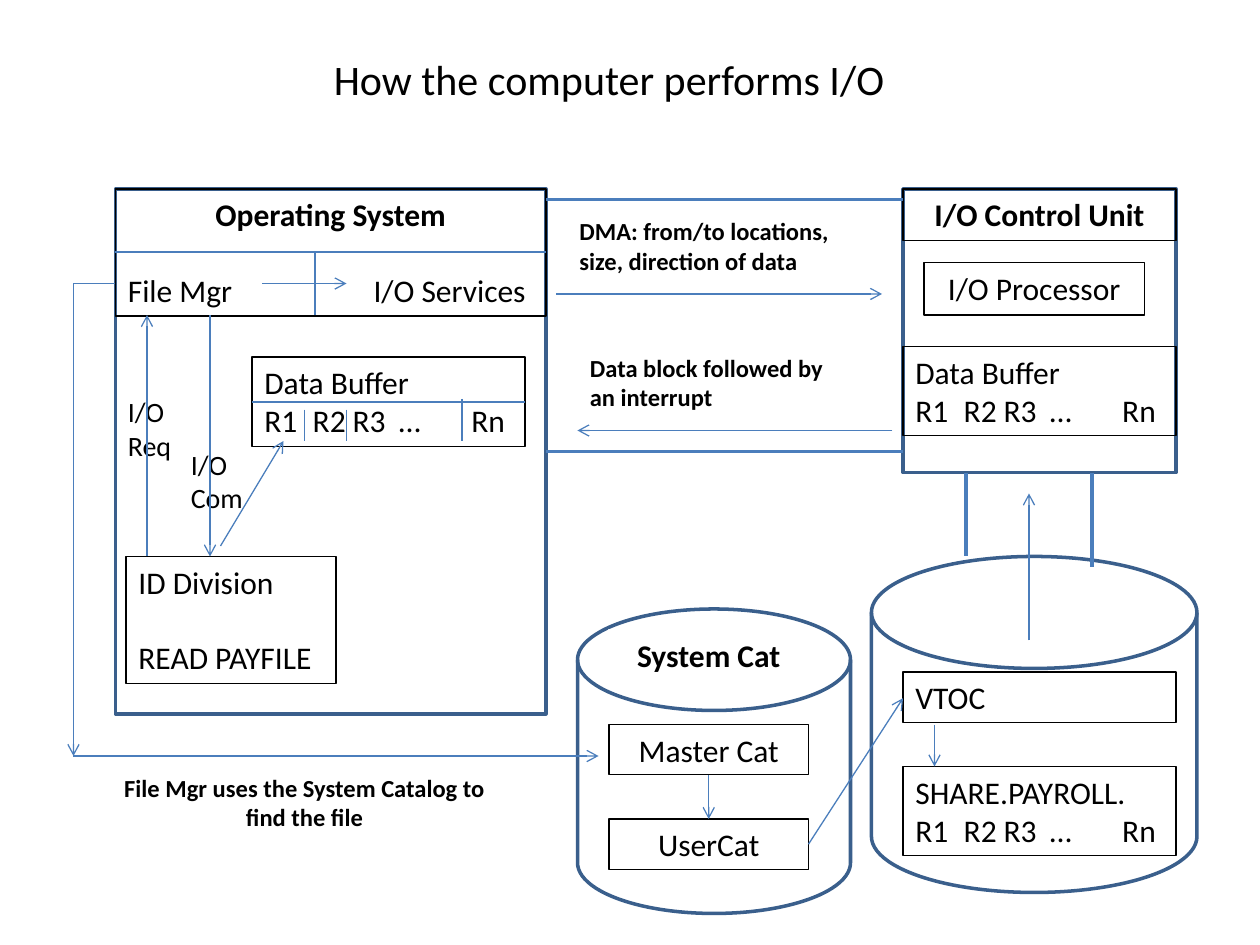
from dataclasses import dataclass

from lxml import etree
from pptx import Presentation
from pptx.dml.color import RGBColor
from pptx.enum.shapes import MSO_CONNECTOR, MSO_SHAPE
from pptx.enum.text import MSO_ANCHOR, PP_ALIGN
from pptx.oxml.ns import qn
from pptx.util import Emu, Pt

RECT = MSO_SHAPE.RECTANGLE
DISK = MSO_SHAPE.FLOWCHART_MAGNETIC_DISK
STRAIGHT = MSO_CONNECTOR.STRAIGHT
LEFT, CENTER = PP_ALIGN.LEFT, PP_ALIGN.CENTER
TOP, MIDDLE = MSO_ANCHOR.TOP, MSO_ANCHOR.MIDDLE
PX = 7620  # EMU per px, 120 px to the inch


@dataclass(frozen=True)
class Theme:
    font: str = "Calibri"
    ink: str = "000000"
    paper: str = "FFFFFF"
    outline: str = "3A5F8C"
    link: str = "4B7EBC"
    title: int = 24
    body: int = 18
    label: int = 16
    note: int = 14
    thin: float = 0.75
    edge: float = 2
    channel: float = 2.25


THEME = Theme()


@dataclass(frozen=True)
class Outline:
    kind: int
    at: tuple[int, int, int, int]


@dataclass(frozen=True)
class Box:
    at: tuple[int, int, int, int]
    lines: tuple[str, ...]
    size: int = THEME.body
    align: int = LEFT
    bold_lines: int = 0
    gap: float = 0  # points before each line after the first
    tabs: tuple[int, ...] = ()
    border: str | None = THEME.ink


@dataclass(frozen=True)
class Link:
    start: tuple[int, int]
    end: tuple[int, int]
    arrow: bool = True
    width: float = THEME.thin


def emu(*lengths: int) -> list[Emu]:
    return [Emu(n * PX) for n in lengths]


def draw_outline(slide, item: Outline) -> None:
    sp = slide.shapes.add_shape(item.kind, *emu(*item.at))
    sp.shadow.inherit = False
    sp.fill.solid()
    sp.fill.fore_color.rgb = RGBColor.from_string(THEME.paper)
    sp.line.color.rgb = RGBColor.from_string(THEME.outline)
    sp.line.width = Pt(THEME.edge)


def format_runs(p, size: int, bold: bool = False) -> None:
    for r in p.runs:
        r.font.name = THEME.font
        r.font.size = Pt(size)
        r.font.bold = bold
        r.font.color.rgb = RGBColor.from_string(THEME.ink)


def draw_box(slide, box: Box) -> None:
    sp = slide.shapes.add_textbox(*emu(*box.at))
    if box.border:
        sp.line.color.rgb = RGBColor.from_string(box.border)
        sp.line.width = Pt(THEME.thin)
    tf = sp.text_frame
    tf.word_wrap = True
    tf.vertical_anchor = TOP
    tf.text = "\n".join(box.lines)
    for i, p in enumerate(tf.paragraphs):
        p.alignment = CENTER if i < box.bold_lines else box.align
        if i and box.gap:
            p.space_before = Pt(box.gap)
        if "\t" in box.lines[i]:
            tab_list = etree.SubElement(p._p.get_or_add_pPr(), qn("a:tabLst"))
            for stop in box.tabs:
                etree.SubElement(tab_list, qn("a:tab"), pos=str(stop * PX), algn="l")
        format_runs(p, box.size, i < box.bold_lines)


def draw_link(slide, link: Link) -> None:
    line = slide.shapes.add_connector(STRAIGHT, *emu(*link.start, *link.end))
    line.line.color.rgb = RGBColor.from_string(THEME.link)
    line.line.width = Pt(link.width)
    if link.arrow:
        etree.SubElement(line.line._get_or_add_ln(), qn("a:tailEnd"), type="arrow")
    etree.SubElement(line._element.spPr, qn("a:effectLst"))


def buffer(left: int, top: int, name: str) -> Box:
    """A named block with its row of records."""
    return Box((left, top, 260, 85), (name, "R1\tR2\tR3\t…\tRn"), tabs=(46, 84, 128, 197))


def plain(left: int, top: int, width: int, text: str, height: int = 48) -> Box:
    return Box((left, top, width, height), (text,), align=CENTER)


def heading(left: int, top: int, width: int, text: str, border: str) -> Box:
    return Box((left, top, width, 49), (text,), align=CENTER, bold_lines=1, border=border)


def label(left: int, top: int, text: str) -> Box:
    return Box((left, top, 80, 77), (text,), size=THEME.label, border=None)


@dataclass(frozen=True)
class Note:
    at: tuple[int, int, int, int]
    text: str
    align: int = LEFT


def draw_note(slide, note: Note) -> None:
    draw_box(slide, Box(note.at, (note.text,), THEME.note, note.align, border=None))
    p = slide.shapes[-1].text_frame.paragraphs[0]
    format_runs(p, THEME.note, bold=True)


OUTLINES = (
    Outline(DISK, (830, 530, 310, 320)),  # data volume
    Outline(RECT, (110, 180, 410, 500)),  # operating system
    Outline(RECT, (860, 180, 260, 270)),  # control unit
    Outline(DISK, (550, 580, 260, 290)),  # system catalog
)

BOXES = (
    # Operating system
    Box((110, 180, 410, 121), ("Operating System", "File Mgr\tI/O Services"),
        bold_lines=1, gap=21.6, tabs=(234,)),
    Box((120, 530, 200, 121), ("ID Division", "READ PAYFILE"), gap=21.6),
    buffer(240, 340, "Data Buffer"),
    label(110, 370, "I/O Req"),
    label(170, 420, "I/O Com"),
    # Control unit
    heading(860, 180, 260, "I/O Control Unit", THEME.ink),
    plain(880, 250, 210, "I/O Processor", 50),
    buffer(860, 330, "Data Buffer"),
    # Data volume
    Box((860, 640, 260, 48), ("VTOC",)),
    buffer(860, 730, "SHARE.PAYROLL."),
    # System catalog
    heading(580, 600, 190, "System Cat", THEME.paper),
    plain(580, 690, 190, "Master Cat"),
    plain(580, 780, 190, "UserCat"),
)

NOTES = (
    Note((540, 200, 290, 68), "DMA: from/to locations, size, direction of data"),
    Note((550, 330, 260, 68), "Data block followed by an interrupt"),
    Note((100, 730, 380, 68), "File Mgr uses the System Catalog to find the file", CENTER),
)

LINKS = (
    # Dividers in the operating system and its buffer
    Link((110, 240), (520, 240), arrow=False),
    Link((300, 240), (300, 300), arrow=False),
    Link((240, 383), (500, 383), arrow=False),
    *(Link((x, top), (x, 420), arrow=False) for x, top in ((290, 390), (330, 390), (440, 380))),
    # Channels between the units
    *(Link((520, y), (860, y), False, THEME.channel) for y in (190, 430)),
    *(Link((x, 450), (x, end), False, THEME.channel) for x, end in ((920, 530), (1040, 540))),
    # Requests inside the operating system
    Link((140, 530), (140, 300)),
    Link((200, 300), (200, 530)),
    Link((210, 520), (270, 420)),
    Link((250, 270), (330, 270)),
    # Transfers to and from the control unit
    Link((530, 280), (840, 280)),
    Link((850, 410), (550, 410)),
    Link((980, 610), (980, 470)),
    # Catalog search
    Link((110, 270), (70, 270), arrow=False),
    Link((70, 270), (70, 720)),
    Link((70, 720), (570, 720)),
    Link((675, 738), (675, 780)),
    Link((770, 804), (860, 665)),
    Link((890, 690), (890, 730)),
)


def main() -> None:
    prs = Presentation()
    prs.slide_width, prs.slide_height = emu(1200, 900)
    slide = prs.slides.add_slide(prs.slide_layouts[5])

    # Title
    title = slide.shapes.title
    title.left, title.top, title.width, title.height = emu(70, 40, 1020, 70)
    title.text_frame.text = "How the computer performs I/O"
    title.text_frame.vertical_anchor = MIDDLE
    title.text_frame.paragraphs[0].alignment = CENTER
    format_runs(title.text_frame.paragraphs[0], THEME.title)

    # Diagram, from back to front
    for draw, items in ((draw_outline, OUTLINES), (draw_box, BOXES),
                        (draw_note, NOTES), (draw_link, LINKS)):
        for item in items:
            draw(slide, item)

    prs.save("out.pptx")


if __name__ == "__main__":
    main()
